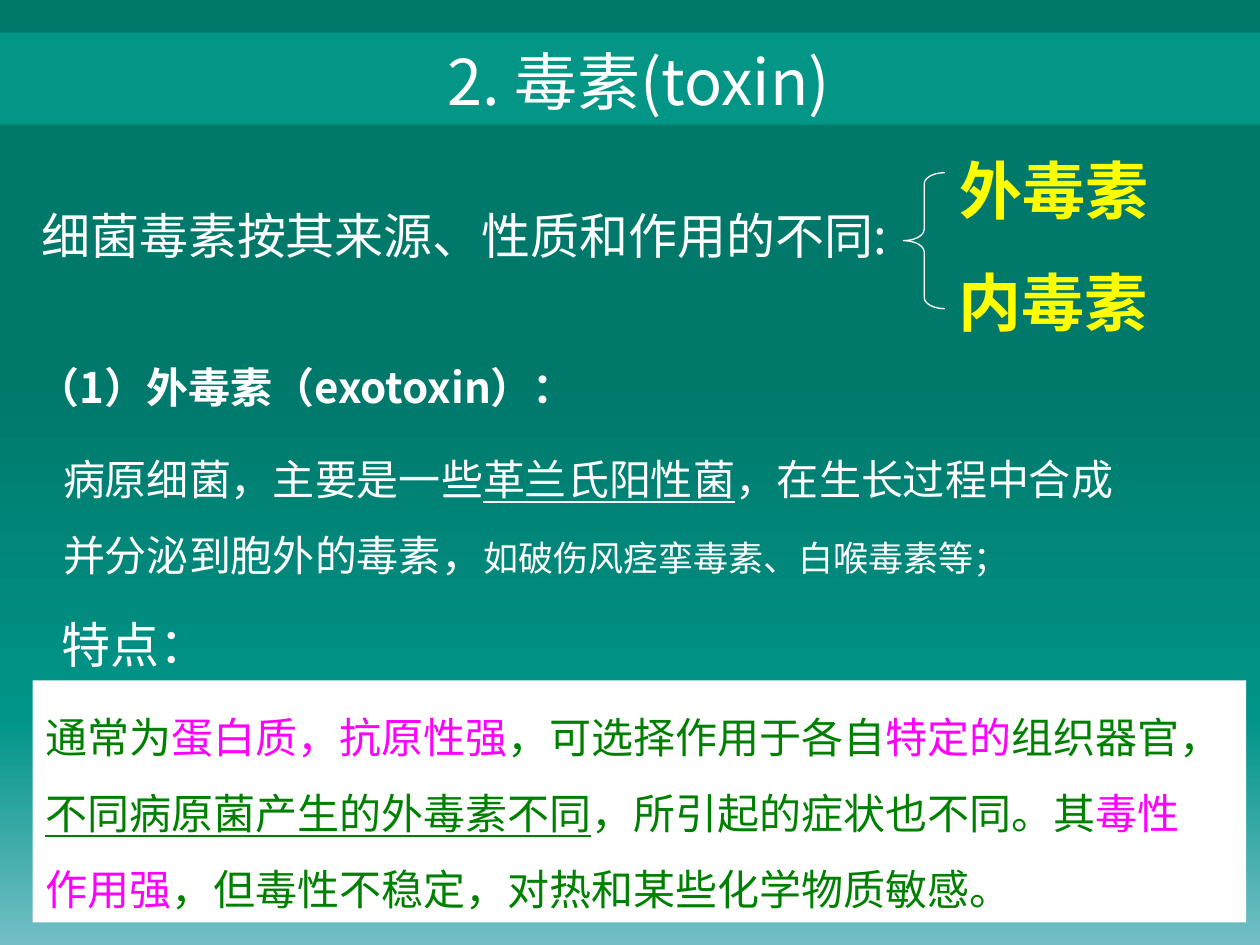
from copy import deepcopy

from pptx import Presentation
from pptx.dml.color import RGBColor
from pptx.enum import shapes, text
from pptx.oxml.ns import qn
from pptx.util import Pt

FONT = "Noto Sans CJK SC"
WHITE, YELLOW, GREEN, PINK = "FFFFFF", "FFFF00", "008000", "FF00FF"

# Content: a paragraph is a list of (text, format) runs; boxes are in points
GRADIENT = [(0, "00786A"), (0.39, "00786A"), (0.76, "019488"), (1, "72BFC5")]
BAND = (0, 18.72, 720, 52.56)
BRACE = (516.24, 98.64, 23.76, 77.76)
TITLE = ((0, 20.88, 730, 51.12), "2. 毒素(toxin)")
DEFINITION = ((28.8, 241.2, 630.72, 90), [[
    ("病原细菌，主要是一些", {}),
    ("革兰氏阳性菌", {"underline": True}),
    ("，在生长过程中合成并分泌到胞外的毒素，", {}),
    ("如破伤风痉挛毒素、白喉毒素等；", {"size": 20}),
]])
LABELS = [
    ((16.56, 113.76, 509.04, 41.04), "细菌毒素按其来源、性质和作用的不同:", {"size": 28}),
    ((541.44, 82.8, 126.72, 51.12), "外毒素", {"size": 36, "color": YELLOW, "bold": True}),
    ((540.72, 146.88, 126.72, 51.12), "内毒素", {"size": 36, "color": YELLOW, "bold": True}),
    ((14.4, 203.04, 326.88, 36.72), "（1）外毒素（exotoxin）：", {"bold": True}),
    ((28.08, 347.76, 99.36, 41.04), "特点：", {"size": 28}),
]
FEATURES = ((18.72, 388.8, 693.36, 138.24), [
    [("通常为", {}), ("蛋白质，抗原性强", {"color": PINK}), ("，可选择作用于各自", {}),
     ("特定的", {"color": PINK}), ("组织器官，", {})],
    [("不同病原菌产生的外毒素不同", {"underline": True}), ("，所引起的症状也不同。其", {}),
     ("毒性", {"color": PINK})],
    [("作用强", {"color": PINK}), ("，但毒性不稳定，对热和某些化学物质敏感。", {})],
])


def rgb(value):
    return RGBColor.from_string(value)


def points(box):
    return [Pt(value) for value in box]


def place(shape, box):
    shape.left, shape.top, shape.width, shape.height = points(box)


def add_run(paragraph, words, size=24, color=WHITE, bold=False, underline=False):
    run = paragraph.add_run()
    run.text = words
    font = run.font
    font.name, font.size, font.bold, font.underline = FONT, Pt(size), bold, underline
    font.color.rgb = rgb(color)
    east_asian = run.element_rPr if hasattr(run, "element_rPr") else run.font._element
    east_asian.find(qn("a:latin")).addnext(
        east_asian.makeelement(qn("a:ea"), {"typeface": FONT}))


def write(shape, paragraphs, wrap=False, align=text.PP_ALIGN.LEFT, spacing=1.0, **style):
    """Fill a shape with paragraphs of runs; style is the default run format."""
    frame = shape.text_frame
    frame.word_wrap = wrap
    frame.auto_size = text.MSO_AUTO_SIZE.SHAPE_TO_FIT_TEXT
    frame.vertical_anchor = text.MSO_ANCHOR.TOP
    for index, runs in enumerate(paragraphs):
        paragraph = frame.add_paragraph() if index else frame.paragraphs[0]
        paragraph.alignment = align
        paragraph.line_spacing = spacing
        paragraph.space_before = Pt(0)
        for words, changes in runs:
            add_run(paragraph, words, **{**style, **changes})


def add_shape(slide, kind, box, fill=None, line=None):
    shape = slide.shapes.add_shape(kind, *points(box))
    shape.shadow.inherit = False
    if fill:
        shape.fill.solid()
        shape.fill.fore_color.rgb = rgb(fill)
    else:
        shape.fill.background()
    if line:
        shape.line.color.rgb = rgb(line)
        shape.line.width = Pt(0.75)
    else:
        shape.line.fill.background()
    return shape


def paint_background(slide):
    fill = slide.background.fill
    fill.gradient()
    fill.gradient_angle = 270
    stop_list = slide.element.find(".//" + qn("a:gsLst"))
    while len(stop_list) < len(GRADIENT):
        stop_list.append(deepcopy(stop_list[0]))
    for stop, (position, color) in zip(fill.gradient_stops, GRADIENT):
        stop.position = position
        stop.color.rgb = rgb(color)


def main():
    presentation = Presentation()
    presentation.slide_width, presentation.slide_height = Pt(720), Pt(540)
    slide = presentation.slides.add_slide(presentation.slide_layouts[1])
    paint_background(slide)

    # Title over its band
    title, body = slide.shapes.title, slide.placeholders[1]
    band = add_shape(slide, shapes.MSO_SHAPE.RECTANGLE, BAND, fill="039686")
    title.element.addprevious(band.element)
    box, words = TITLE
    place(title, box)
    write(title, [[(words, {})]], wrap=True, align=text.PP_ALIGN.CENTER, size=36)

    # Definition, without the template's bullet
    box, paragraphs = DEFINITION
    place(body, box)
    write(body, paragraphs, wrap=True, spacing=1.5)
    for paragraph in body.text_frame.paragraphs:
        properties = paragraph._p.get_or_add_pPr()
        properties.set("marL", "0")
        properties.set("indent", "0")
        properties.append(properties.makeelement(qn("a:buNone"), {}))

    # Classification, headings and brace
    for box, words, style in LABELS:
        write(slide.shapes.add_textbox(*points(box)), [[(words, style)]])
    brace = add_shape(slide, shapes.MSO_SHAPE.LEFT_BRACE, BRACE, line=WHITE)
    brace.adjustments[0] = 0.27
    brace.adjustments[1] = 0.5

    # Features panel
    box, paragraphs = FEATURES
    panel = add_shape(slide, shapes.MSO_SHAPE.RECTANGLE, box, fill=WHITE)
    write(panel, paragraphs, spacing=1.5, color=GREEN)

    presentation.save("out.pptx")


if __name__ == "__main__":
    main()
